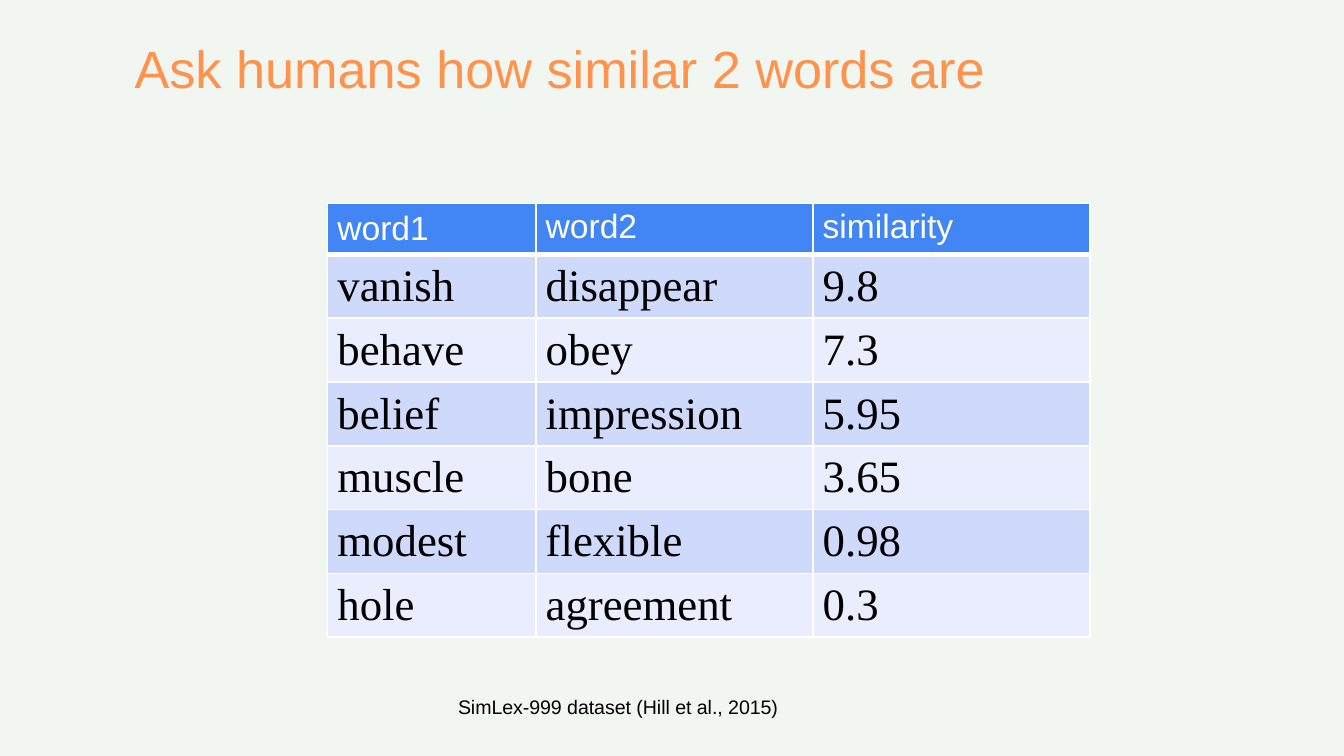
from lxml.etree import SubElement
from pptx import Presentation
from pptx.dml.color import RGBColor
from pptx.enum.text import MSO_ANCHOR
from pptx.oxml.ns import qn
from pptx.util import Pt


def color(value):
    return RGBColor.from_string(value)


def add_run(paragraph, text, font_name, size, text_color):
    run = paragraph.add_run()
    run.text = text
    run.font.name = font_name
    run.font.size = Pt(size)
    run.font.color.rgb = color(text_color)


presentation = Presentation()
presentation.slide_width = Pt(720)
presentation.slide_height = Pt(405)
slide = presentation.slides.add_slide(presentation.slide_layouts[6])
slide.background.fill.solid()
slide.background.fill.fore_color.rgb = color("F2F6F0")

title = slide.shapes.add_textbox(Pt(65), Pt(9.4), Pt(594), Pt(53.3)).text_frame
title.word_wrap = True
title.vertical_anchor = MSO_ANCHOR.MIDDLE
title.margin_left = title.margin_right = Pt(7.2)
title.margin_top = title.margin_bottom = Pt(7.2)
add_run(title.paragraphs[0], "Ask humans how similar 2 words are", "Arial", 28, "FF934D")

rows = [
    ("word1", "word2", "similarity"),
    ("vanish", "disappear", "9.8"),
    ("behave", "obey", "7.3"),
    ("belief", "impression", "5.95"),
    ("muscle", "bone", "3.65"),
    ("modest", "flexible", "0.98"),
    ("hole", "agreement", "0.3"),
]
column_widths = [111.6, 148.4, 148.4]
row_heights = [27.3] + [34.2] * 6
table = slide.shapes.add_table(
    len(rows), len(column_widths), Pt(175.5), Pt(109),
    Pt(sum(column_widths)), Pt(sum(row_heights)),
).table
for column, width in zip(table.columns, column_widths):
    column.width = Pt(width)

for row_index, words in enumerate(rows):
    table.rows[row_index].height = Pt(row_heights[row_index])
    is_header = row_index == 0
    if is_header:
        fill_color, text_style = "4285F4", ("Arial", 18, "FFFFFF")
    else:
        fill_color = "CFD9FB" if row_index % 2 else "E9EDFD"
        text_style = ("Times New Roman", 24, "000000")
    for column_index, word in enumerate(words):
        cell = table.cell(row_index, column_index)
        cell.margin_left = cell.margin_right = Pt(5.25)
        cell.margin_top = cell.margin_bottom = Pt(2.65)
        top_anchored = is_header and column_index > 0
        cell.vertical_anchor = MSO_ANCHOR.TOP if top_anchored else MSO_ANCHOR.MIDDLE
        properties = cell._tc.get_or_add_tcPr()
        for side in ("lnL", "lnR", "lnT", "lnB"):
            width = 3 if is_header and side == "lnB" else 1
            border = SubElement(properties, qn(f"a:{side}"), w=str(Pt(width)))
            border_fill = SubElement(border, qn("a:solidFill"))
            SubElement(border_fill, qn("a:srgbClr"), val="FFFFFF")
        cell.fill.solid()
        cell.fill.fore_color.rgb = color(fill_color)
        add_run(cell.text_frame.paragraphs[0], word, *text_style)

source = slide.shapes.add_textbox(Pt(238.3), Pt(368.6), Pt(192.2), Pt(20.2)).text_frame
source.word_wrap = False
add_run(source.paragraphs[0], "SimLex-999 dataset (Hill et al., 2015)", "Arial", 10.5, "000000")

presentation.save("out.pptx")
